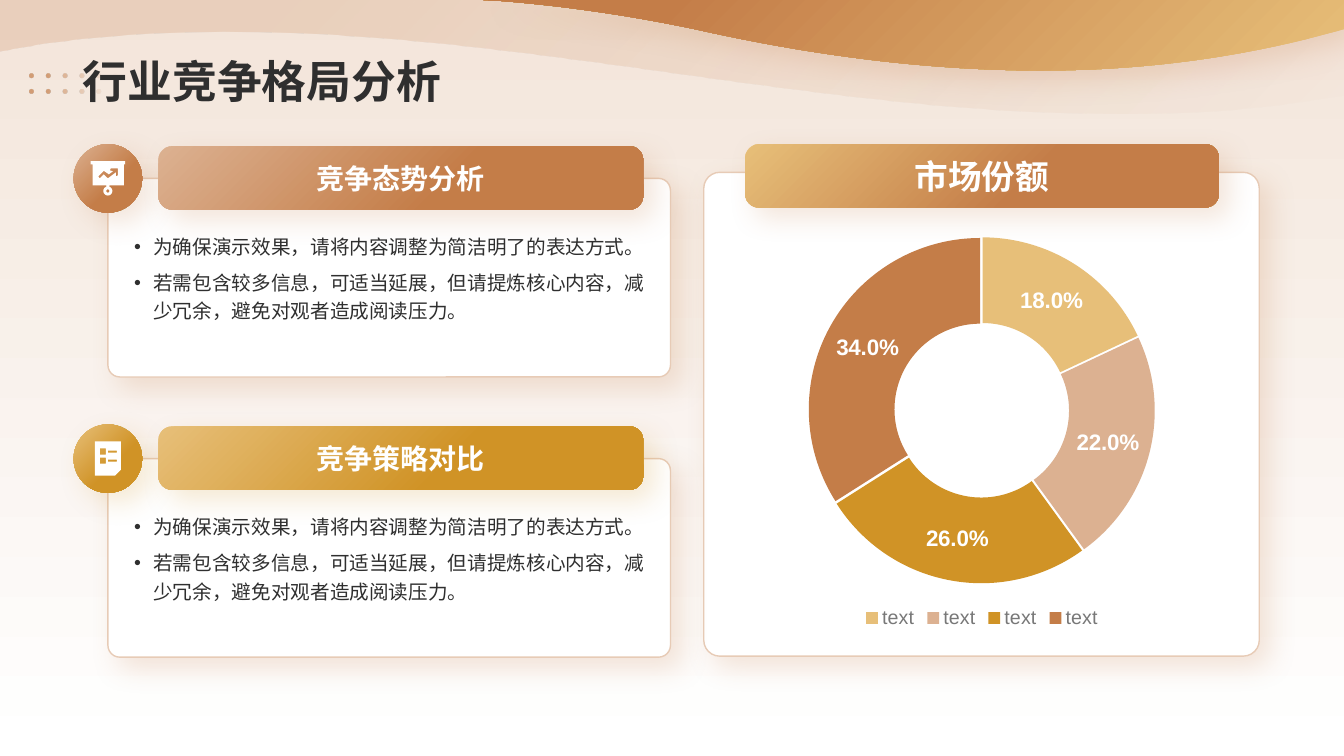
from dataclasses import dataclass
from math import cos, pi, sin
from typing import NamedTuple

from lxml import etree
from pptx import Presentation
from pptx.chart.data import CategoryChartData
from pptx.dml.color import RGBColor
from pptx.enum.chart import XL_CHART_TYPE, XL_LEGEND_POSITION
from pptx.enum.lang import MSO_LANGUAGE_ID
from pptx.enum.shapes import MSO_SHAPE
from pptx.enum.text import MSO_ANCHOR, MSO_AUTO_SIZE, PP_ALIGN
from pptx.oxml.ns import qn
from pptx.util import Inches, Pt

DOUGHNUT = XL_CHART_TYPE.DOUGHNUT
LEGEND_BOTTOM = XL_LEGEND_POSITION.BOTTOM
CHINESE = MSO_LANGUAGE_ID.SIMPLIFIED_CHINESE
ROUNDED, OVAL = MSO_SHAPE.ROUNDED_RECTANGLE, MSO_SHAPE.OVAL
TOP, MIDDLE, BOTTOM = MSO_ANCHOR.TOP, MSO_ANCHOR.MIDDLE, MSO_ANCHOR.BOTTOM
LEFT, CENTER = PP_ALIGN.LEFT, PP_ALIGN.CENTER
NO_AUTOFIT = MSO_AUTO_SIZE.NONE


@dataclass(frozen=True)
class Theme:
    """Colours, font and type sizes of the slide."""
    font: str = "Arial"
    ink: str = "2F2F2F"
    gray: str = "787878"
    white: str = "FFFFFF"
    cream: str = "F3E5DA"
    border: str = "E7CBB6"
    copper: str = "C47D48"
    blush: str = "DCB191"
    sand: str = "E7BF79"
    gold: str = "D09326"
    title: int = 32
    panel: int = 24
    section: int = 20
    label: int = 16
    body: int = 14


THEME = Theme()


class Box(NamedTuple):
    """A rectangle in inches."""
    left: float
    top: float
    width: float
    height: float

    def inside(self, left, top, width, height):
        """Return a box offset from this one's corner."""
        return Box(self.left + left, self.top + top, width, height)

    def lengths(self):
        """Return the four sides as lengths."""
        return [Inches(value) for value in self]


def format_font(font, size, color, bold=False):
    """Set the typeface, size, colour and weight of a font."""
    font.name, font.size, font.bold = THEME.font, Pt(size), bold
    font.color.rgb = RGBColor.from_string(color)


def write(paragraph, text, size, color, bold=False, align=LEFT):
    """Add one formatted run to a paragraph."""
    paragraph.alignment = align
    run = paragraph.add_run()
    run.text = text
    format_font(run.font, size, color, bold)
    run.font.language_id = CHINESE


def paint_gradient(fill, stops, clockwise=45):
    """Fill with two (position, colour) stops at a clockwise angle."""
    fill.gradient()
    fill.gradient_angle = 360 - clockwise
    for stop, (position, color) in zip(fill.gradient_stops, stops):
        stop.position = position
        stop.color.rgb = RGBColor.from_string(color)


def set_opacity(shape, opacities):
    """Give each gradient stop of a shape its opacity in percent."""
    colors = shape._element.spPr.iter(qn("a:srgbClr"))
    for color, opacity in zip(colors, opacities):
        etree.SubElement(color, qn("a:alpha"), val=str(opacity * 1000))


def add_shadow(shape, color):
    """Cast a soft shadow to the lower right."""
    shape.shadow.inherit = False
    effects = shape._element.spPr.find(qn("a:effectLst"))
    shadow = etree.SubElement(effects, qn("a:outerShdw"), blurRad=str(Pt(20)), dist=str(Pt(10)),
                              dir=str(45 * 60000), algn="tl", rotWithShape="0")
    tint = etree.SubElement(shadow, qn("a:srgbClr"), val=color)
    etree.SubElement(tint, qn("a:alpha"), val="20000")


def circle(x, y, radius):
    """Return the points of a circle."""
    angles = [2 * pi * step / 20 for step in range(20)]
    return [(x + radius * cos(angle), y + radius * sin(angle)) for angle in angles]


def rectangle(left, top, width, height):
    """Return the corners of a rectangle."""
    right, bottom = left + width, top + height
    return [(left, top), (right, top), (right, bottom), (left, bottom)]


def trace(*steps):
    """Turn points and cubic curves into one list of points."""
    points = [steps[0]]
    for step in steps[1:]:
        if len(step) == 2:
            points.append(step)
            continue
        controls = [points[-1], step[:2], step[2:4], step[4:]]
        for part in range(1, 31):
            t = part / 30
            weights = [(1 - t) ** 3, 3 * t * (1 - t) ** 2, 3 * t * t * (1 - t), t ** 3]
            points.append(tuple(sum(w * c[axis] for w, c in zip(weights, controls)) for axis in (0, 1)))
    return points


def add_outline(slide, contours, left=0, top=0, unit=1):
    """Draw closed contours as one freeform without a line."""
    placed = [[(Inches(left + x * unit), Inches(top + y * unit)) for x, y in contour] for contour in contours]
    builder = slide.shapes.build_freeform(*placed[0][0])
    for index, contour in enumerate(placed):
        if index:
            builder.move_to(*contour[0])
        builder.add_line_segments(contour[1:], close=True)
    shape = builder.convert_to_shape()
    shape.line.fill.background()
    shape.shadow.inherit = False
    return shape


def add_backdrop(slide, box):
    """Paint the background, the two waves and the dot grid."""
    paint_gradient(slide.background.fill, [(0, THEME.cream), (1, THEME.white)], 90)
    right = box.width
    wave = trace((10.95, 1.12), (11.59, 1.13, 12.22, 1.1, 12.86, 1.01), (right, 0.94), (right, 0),
                 (0, 0), (0, 0.51), (0.47, 0.43), (3.97, -0.04, 7.46, 1.1, 10.95, 1.12))
    pale = add_outline(slide, [wave], box.left, box.top)
    paint_gradient(pale.fill, [(0.2, THEME.copper), (1, THEME.copper)])
    set_opacity(pale, [20, 0])
    wave = trace((right, 0), (4.79, 0), (4.97, 0.01), (5.73, 0.07, 6.43, 0.19, 6.94, 0.3),
                 (8.24, 0.59, 9.36, 0.7, 10.33, 0.7), (11.35, 0.7, 12.21, 0.57, 12.95, 0.39), (right, 0.29))
    ribbon = add_outline(slide, [wave], box.left, box.top)
    paint_gradient(ribbon.fill, [(0, THEME.sand), (0.8, THEME.copper)], 225)
    add_shadow(ribbon, THEME.copper)
    grid = [circle(0.32 + 0.165 * column, 0.75 + 0.15 * row, 0.024) for row in range(2) for column in range(6)]
    dots = add_outline(slide, grid, box.left, box.top)
    paint_gradient(dots.fill, [(0.2, THEME.copper), (1, THEME.blush)], 0)
    set_opacity(dots, [70, 0])


def place_placeholder(slide, placeholder, box, anchor):
    """Move a placeholder into a box, in front of what is drawn so far."""
    slide.shapes._spTree.append(placeholder._element)
    placeholder.left, placeholder.top, placeholder.width, placeholder.height = box.lengths()
    frame = placeholder.text_frame
    frame.word_wrap, frame.auto_size, frame.vertical_anchor = True, NO_AUTOFIT, anchor
    return frame


def add_title(slide, box, text):
    """Set the slide title."""
    frame = place_placeholder(slide, slide.shapes.title, box, BOTTOM)
    write(frame.paragraphs[0], text, THEME.title, THEME.ink, bold=True)


def add_card(slide, box, corner):
    """Draw a white rounded card."""
    card = slide.shapes.add_shape(ROUNDED, *box.lengths())
    card.adjustments[0] = corner
    card.fill.solid()
    card.fill.fore_color.rgb = RGBColor.from_string(THEME.white)
    card.line.color.rgb = RGBColor.from_string(THEME.border)
    card.line.width = Pt(1)
    add_shadow(card, THEME.copper)


def add_glossy(slide, kind, box, light, dark, shadow):
    """Draw a gradient shape with a shadow and no line."""
    shape = slide.shapes.add_shape(kind, *box.lengths())
    paint_gradient(shape.fill, [(0, light), (0.6, dark)])
    shape.line.fill.background()
    add_shadow(shape, shadow)
    return shape


def add_header(slide, box, text, size, light, dark, shadow):
    """Draw a rounded header bar with its caption."""
    header = add_glossy(slide, ROUNDED, box, light, dark, shadow)
    header.adjustments[0] = 0.217
    header.text_frame.vertical_anchor = MIDDLE
    write(header.text_frame.paragraphs[0], text, size, THEME.white, bold=True, align=CENTER)


def add_bullets(slide, placeholder, box, lines):
    """Fill a body placeholder with a bulleted list."""
    frame = place_placeholder(slide, placeholder, box, TOP)
    for index, line in enumerate(lines):
        paragraph = frame.add_paragraph() if index else frame.paragraphs[0]
        properties = paragraph._p.get_or_add_pPr()
        properties.set("marL", str(Inches(0.19)))
        properties.set("indent", str(Inches(-0.19)))
        etree.SubElement(properties, qn("a:buFont"), typeface=THEME.font)
        etree.SubElement(properties, qn("a:buChar"), char="•")
        tabs = etree.SubElement(properties, qn("a:tabLst"))
        etree.SubElement(tabs, qn("a:tab"), pos=str(Inches(0.49)), algn="l")
        paragraph.line_spacing, paragraph.space_before, paragraph.space_after = 1.2, Pt(0), Pt(6)
        write(paragraph, line, THEME.body, THEME.ink)


def add_section(slide, box, placeholder, heading, lines, icon, light, dark):
    """Build a card with a badge, a header bar and a list."""
    add_card(slide, box, 0.06)
    badge = box.inside(-0.34, -0.34, 0.68, 0.68)
    add_glossy(slide, OVAL, badge, light, dark, dark)
    symbol = add_outline(slide, icon, badge.left + 0.17, badge.top + 0.17, 0.01)
    symbol.fill.solid()
    symbol.fill.fore_color.rgb = RGBColor.from_string(THEME.white)
    add_header(slide, box.inside(0.5, -0.32, 4.81, 0.63), heading, THEME.section, light, dark, dark)
    add_bullets(slide, placeholder, box.inside(0.16, 0.46, 5.27, 1.42), lines)


def add_share_chart(slide, box, shares):
    """Draw the market share doughnut."""
    data = CategoryChartData(number_format="0.0%")
    data.categories = ["text"] * len(shares)
    data.add_series("Series 1", [value for value, _ in shares])
    chart = slide.shapes.add_chart(DOUGHNUT, *box.lengths(), data).chart
    format_font(chart.font, 10, THEME.ink)
    chart.has_title, chart.has_legend = False, True
    chart.legend.position, chart.legend.include_in_layout = LEGEND_BOTTOM, False
    format_font(chart.legend.font, THEME.body, THEME.gray)
    plot = chart.plots[0]
    plot.vary_by_categories = True
    series = plot.series[0]
    for index, (_, color) in enumerate(shares):
        fill = series.points[index].format.fill
        fill.solid()
        fill.fore_color.rgb = RGBColor.from_string(color)
    labels = series.data_labels
    labels.show_value, labels.show_percentage = True, False
    labels.number_format, labels.number_format_is_linked = "0.0%", False
    format_font(labels.font, THEME.label, THEME.white, bold=True)
    explosion = etree.Element(qn("c:explosion"), val="2")
    series._element.find(qn("c:dPt")).addprevious(explosion)
    area = chart._chartSpace.find(".//" + qn("c:plotArea"))
    area.find(".//" + qn("c:holeSize")).set("val", "45")
    for layout in area.findall(qn("c:layout")):
        area.remove(layout)
    layout = etree.Element(qn("c:layout"))
    area.insert(0, layout)
    manual = etree.SubElement(layout, qn("c:manualLayout"))
    settings = {"layoutTarget": "inner", "xMode": "edge", "yMode": "edge",
                "x": 0.173, "y": 0.008, "w": 0.653, "h": 0.868}
    for name, value in settings.items():
        etree.SubElement(manual, qn("c:" + name), val=str(value))


def add_share_panel(slide, box, heading, shares):
    """Build the card with the chart and its header bar."""
    add_card(slide, box, 0.033)
    add_header(slide, box.inside(0.41, -0.28, 4.7, 0.63), heading, THEME.panel,
               THEME.sand, THEME.copper, THEME.copper)
    add_share_chart(slide, box.inside(0.13, 0.61, 5.26, 3.96), shares)


def main():
    """Build and save the slide."""
    presentation = Presentation()
    presentation.slide_width, presentation.slide_height = Inches(13.33), Inches(7.5)
    slide = presentation.slides.add_slide(presentation.slide_layouts[3])
    lists = list(slide.placeholders)[1:]
    add_backdrop(slide, Box(0, 0, 13.33, 7.5))
    add_title(slide, Box(0.72, 0.14, 11.88, 0.98), "行业竞争格局分析")
    shares = [(0.18, THEME.sand), (0.22, THEME.blush), (0.26, THEME.gold), (0.34, THEME.copper)]
    add_share_panel(slide, Box(6.98, 1.71, 5.51, 4.8), "市场份额", shares)
    arrow = [(27, 7), (27, 14), (25, 15), (25, 11), (17, 17), (13, 13), (9, 17), (7.5, 15),
             (13, 9.5), (18, 13), (22, 10), (19, 9), (20, 7)]
    board = [(0, 0), (34, 0), (34, 3), (33, 3), (33, 24), (2, 24), (2, 3), (0, 3)]
    easel = [board, arrow, rectangle(15.5, 24, 3, 1), circle(17, 29.5, 4.5), circle(17, 29.5, 1.6)]
    checklist = [[(4, 0), (30, 0), (30, 28), (24, 34), (4, 34)]]
    for top in (7, 16):
        checklist += [rectangle(9, top, 6, 6), rectangle(17, top + 2, 9, 2)]
    lines = ["为确保演示效果，请将内容调整为简洁明了的表达方式。",
             "若需包含较多信息，可适当延展，但请提炼核心内容，减少冗余，避免对观者造成阅读压力。"]
    sections = [("竞争态势分析", easel, THEME.blush, THEME.copper),
                ("竞争策略对比", checklist, THEME.sand, THEME.gold)]
    for index, (heading, icon, light, dark) in enumerate(sections):
        box = Box(1.07, 1.77 + 2.78 * index, 5.58, 1.97)
        add_section(slide, box, lists[index], heading, lines, icon, light, dark)


    presentation.save("out.pptx")


if __name__ == "__main__":
    main()
